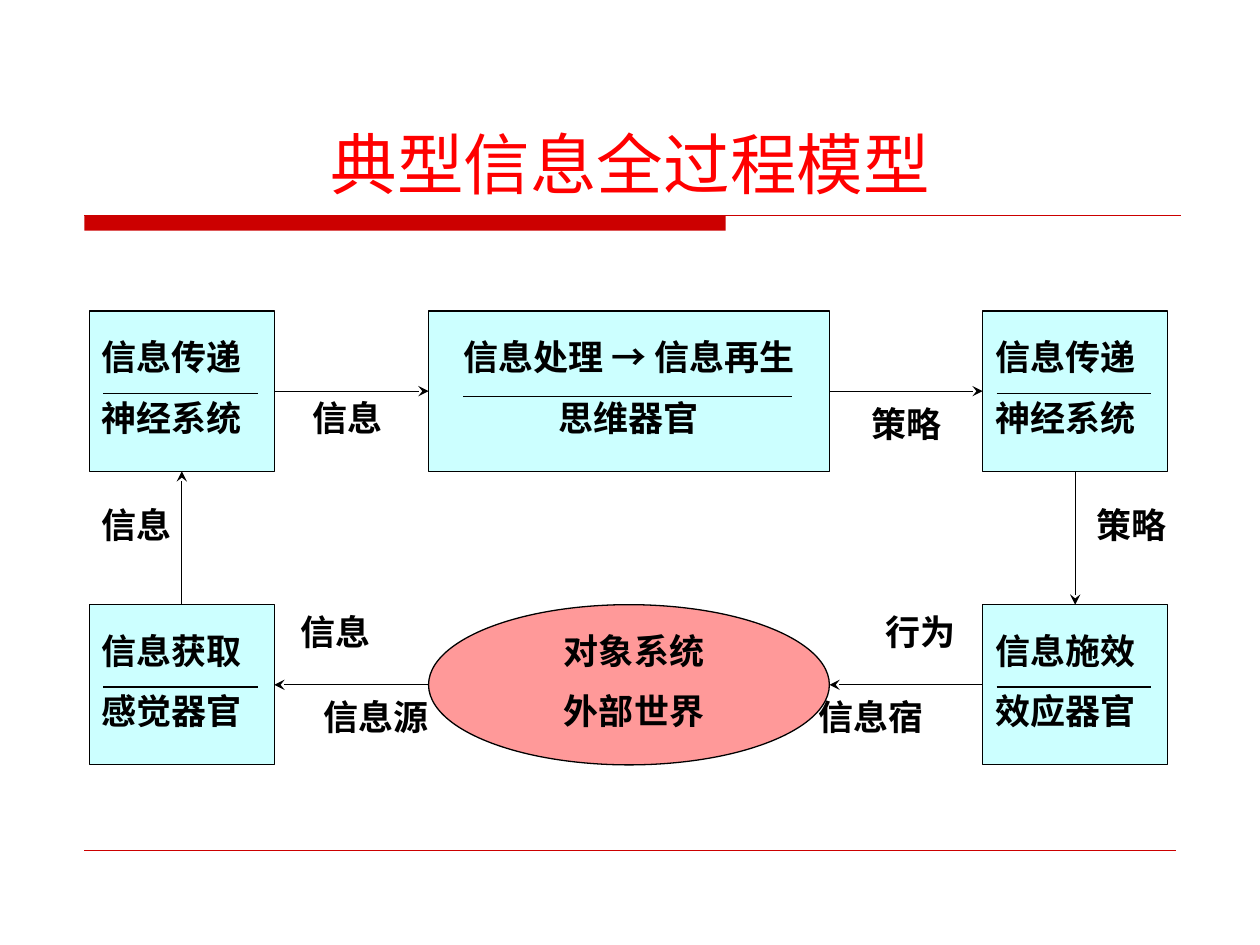
from lxml import etree
from pptx import Presentation
from pptx.dml.color import RGBColor
from pptx.enum.shapes import MSO_CONNECTOR, MSO_SHAPE
from pptx.enum.text import MSO_ANCHOR, PP_ALIGN
from pptx.oxml.ns import qn
from pptx.util import Cm, Pt

STRAIGHT = MSO_CONNECTOR.STRAIGHT
RECTANGLE, OVAL = MSO_SHAPE.RECTANGLE, MSO_SHAPE.OVAL
TOP, BOTTOM = MSO_ANCHOR.TOP, MSO_ANCHOR.BOTTOM
LEFT, CENTER, JUSTIFY = PP_ALIGN.LEFT, PP_ALIGN.CENTER, PP_ALIGN.JUSTIFY
SITE_TOP, SITE_LEFT, SITE_BOTTOM, SITE_RIGHT = range(4)

BLACK, RED, DARK_RED, CYAN, PINK = "000000", "FF0000", "CC0000", "CCFFFF", "FF9999"
BODY_FONT = {"name": "Times New Roman", "size": Pt(20), "bold": True}
TITLE_FONT = {"name": "DejaVu Sans", "size": Pt(38), "bold": False}
SIDE_WIDTH, MIDDLE_WIDTH, NODE_HEIGHT = 3.73, 8.08, 3.23
LEFT_X, MIDDLE_X, RIGHT_X = 0, 6.84, 18.01
LOWER_Y = 5.92


def color(value):
    """Return the colour for a hex string."""
    return RGBColor.from_string(value)


def write_lines(shape, lines, alignment, spacing=None, font=BODY_FONT,
                font_color=BLACK, anchor=TOP):
    """Write lines, each a string or a list of (text, font name) runs."""
    frame = shape.text_frame
    frame.word_wrap = True
    frame.vertical_anchor = anchor
    for index, line in enumerate(lines):
        paragraph = frame.add_paragraph() if index else frame.paragraphs[0]
        paragraph.alignment = alignment
        paragraph.line_spacing = spacing
        pieces = [(line, font["name"])] if isinstance(line, str) else line
        for text, font_name in pieces:
            run = paragraph.add_run()
            run.text = text
            for name, value in {**font, "name": font_name}.items():
                setattr(run.font, name, value)
            run.font.color.rgb = color(font_color)


def add_text(slide, box, lines, alignment, **options):
    """Add a text box at a (left, top, width, height) box."""
    shape = slide.shapes.add_textbox(*map(Cm, box))
    write_lines(shape, lines, alignment, **options)


def add_filled(slide, kind, box, fill, line=None):
    """Add a filled shape with an optional thin outline."""
    shape = slide.shapes.add_shape(kind, *map(Cm, box))
    shape.shadow.inherit = False
    shape.fill.solid()
    shape.fill.fore_color.rgb = color(fill)
    if line:
        shape.line.color.rgb = color(line)
        shape.line.width = Pt(0.75)
    else:
        shape.line.fill.background()
    return shape


def add_line(slide, start, end, line=BLACK, width=0.75, arrow=False):
    """Add a straight line, with a stealth arrowhead if asked."""
    connector = slide.shapes.add_connector(STRAIGHT, *map(Cm, (*start, *end)))
    connector.line.color.rgb = color(line)
    connector.line.width = Pt(width)
    if arrow:
        etree.SubElement(connector.line._get_or_add_ln(), qn("a:tailEnd"), type="stealth")
    etree.SubElement(connector._element.spPr, qn("a:effectLst"))
    return connector


def add_node(slide, box, lines, alignment, margin, divider_y):
    """Add a two-line box with a rule between its lines."""
    left, top, width, height = box
    node = add_filled(slide, RECTANGLE, box, CYAN, BLACK)
    write_lines(node, lines, alignment, spacing=1.44)
    y = top + divider_y
    add_line(slide, (left + margin, y), (left + width - margin - 0.05, y))
    return node


def add_object_system(slide, box):
    """Add the ellipse of the outside world with its text."""
    left, top, width, height = box
    add_filled(slide, OVAL, box, PINK, BLACK)
    add_text(slide, (left + 2.48, top, SIDE_WIDTH, height), ["对象系统", "外部世界"],
             JUSTIFY, spacing=1.44)


def add_frame(slide, box):
    """Add the title, the header bar and the footer rule."""
    left, top, width, height = box
    add_filled(slide, RECTANGLE, (left, top, 12.93, 0.31), DARK_RED)
    add_line(slide, (left, top), (left + width + 0.1, top), DARK_RED)
    add_line(slide, (left, top + height), (left + width, top + height), DARK_RED, 0.25)
    add_text(slide, (left - 0.1, top - 3.5, width + 0.22, 3.38), ["典型信息全过程模型"],
             CENTER, font=TITLE_FONT, font_color=RED, anchor=BOTTOM)


def add_process(slide, box):
    """Add the cycle of nodes, arrows and labels."""
    left, top, width, height = box
    side_nodes = [
        (LEFT_X, 0, "信息传递", "神经系统"),
        (RIGHT_X, 0, "信息传递", "神经系统"),
        (LEFT_X, LOWER_Y, "信息获取", "感觉器官"),
        (RIGHT_X, LOWER_Y, "信息施效", "效应器官"),
    ]
    input_nerve, output_nerve, sense, effect = [
        add_node(slide, (left + x, top + y, SIDE_WIDTH, NODE_HEIGHT), lines, JUSTIFY, 0.28, 1.66)
        for x, y, *lines in side_nodes
    ]
    thinking_lines = [
        [("信息处理 ", "Times New Roman"), ("→", "Arial"), (" 信息再生", "Times New Roman")],
        "思维器官",
    ]
    thinking = add_node(slide, (left + MIDDLE_X, top, MIDDLE_WIDTH, NODE_HEIGHT),
                        thinking_lines, CENTER, 0.7, 1.73)
    add_object_system(slide, (left + MIDDLE_X, top + LOWER_Y, MIDDLE_WIDTH, NODE_HEIGHT))

    middle_y = top + LOWER_Y + NODE_HEIGHT / 2
    oval_left = (left + MIDDLE_X, middle_y)
    oval_right = (left + MIDDLE_X + MIDDLE_WIDTH, middle_y)
    arrows = [
        (input_nerve, SITE_RIGHT, thinking, SITE_LEFT),
        (thinking, SITE_RIGHT, output_nerve, SITE_LEFT),
        (output_nerve, SITE_BOTTOM, effect, SITE_TOP),
        (sense, SITE_TOP, input_nerve, SITE_BOTTOM),
    ]
    for source, source_site, target, target_site in arrows:
        arrow = add_line(slide, (0, 0), (0, 0), arrow=True)
        arrow.begin_connect(source, source_site)
        arrow.end_connect(target, target_site)
    to_sense = add_line(slide, oval_left, (left + SIDE_WIDTH, middle_y), arrow=True)
    to_sense.end_connect(sense, SITE_RIGHT)
    from_effect = add_line(slide, (left + RIGHT_X, middle_y), oval_right, arrow=True)
    from_effect.begin_connect(effect, SITE_LEFT)

    labels = [
        ("信息", 3.96, 1.6, 2.49, CENTER),
        ("策略", 15.24, 1.71, 2.49, CENTER),
        ("信息", -0.3, 3.76, 2.49, CENTER),
        ("策略", 19.76, 3.76, 2.49, CENTER),
        ("信息", 3.73, LOWER_Y, 2.49, CENTER),
        ("行为", 15.52, LOWER_Y, 2.49, CENTER),
        ("信息源", 4.35, 7.62, 2.87, CENTER),
        ("信息宿", 14.45, 7.62, 3.4, LEFT),
    ]
    for text, x, y, label_width, alignment in labels:
        add_text(slide, (left + x, top + y, label_width, 1.63), [text], alignment)


def main():
    """Build the slide and save it."""
    presentation = Presentation()
    presentation.slide_width, presentation.slide_height = Cm(25.4), Cm(19.05)
    slide = presentation.slides.add_slide(presentation.slide_layouts[6])
    add_frame(slide, (1.7, 4.34, 22, 12.8))
    add_process(slide, (1.8, 6.27, 21.74, 9.15))
    presentation.save("out.pptx")


if __name__ == "__main__":
    main()
